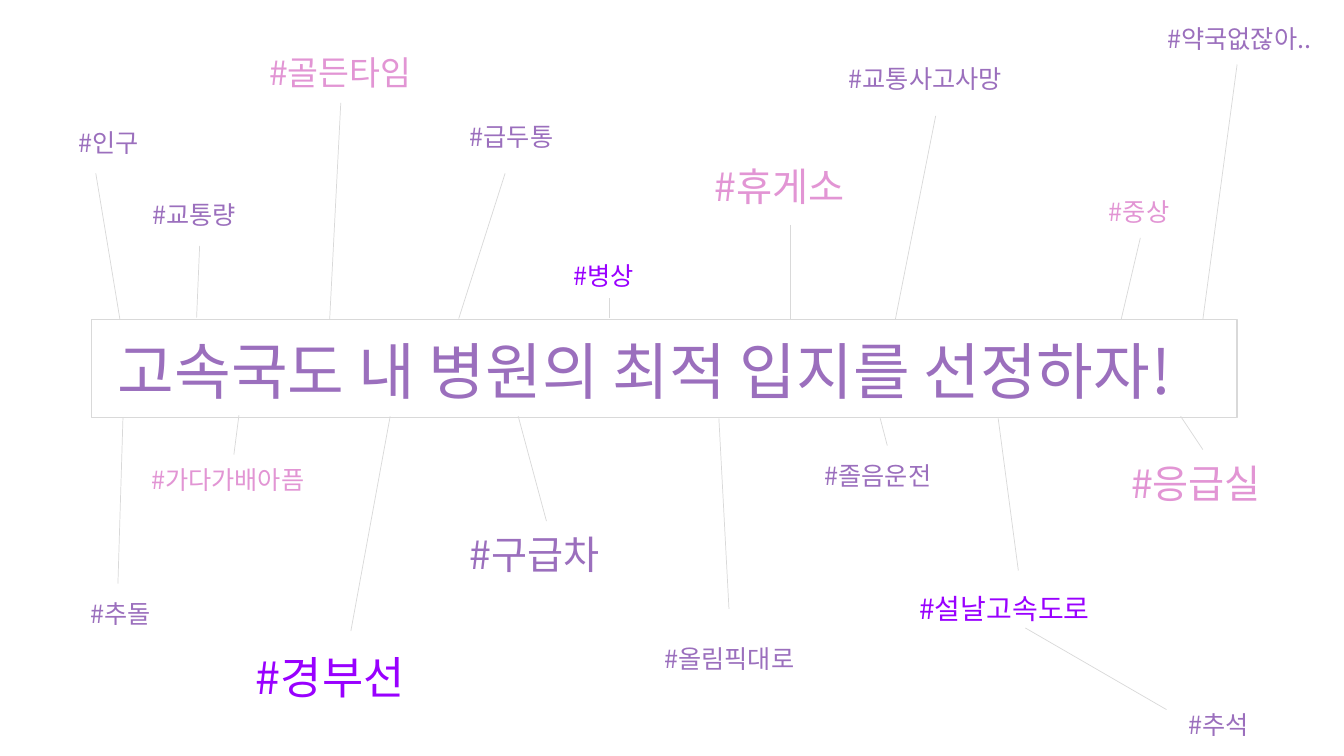
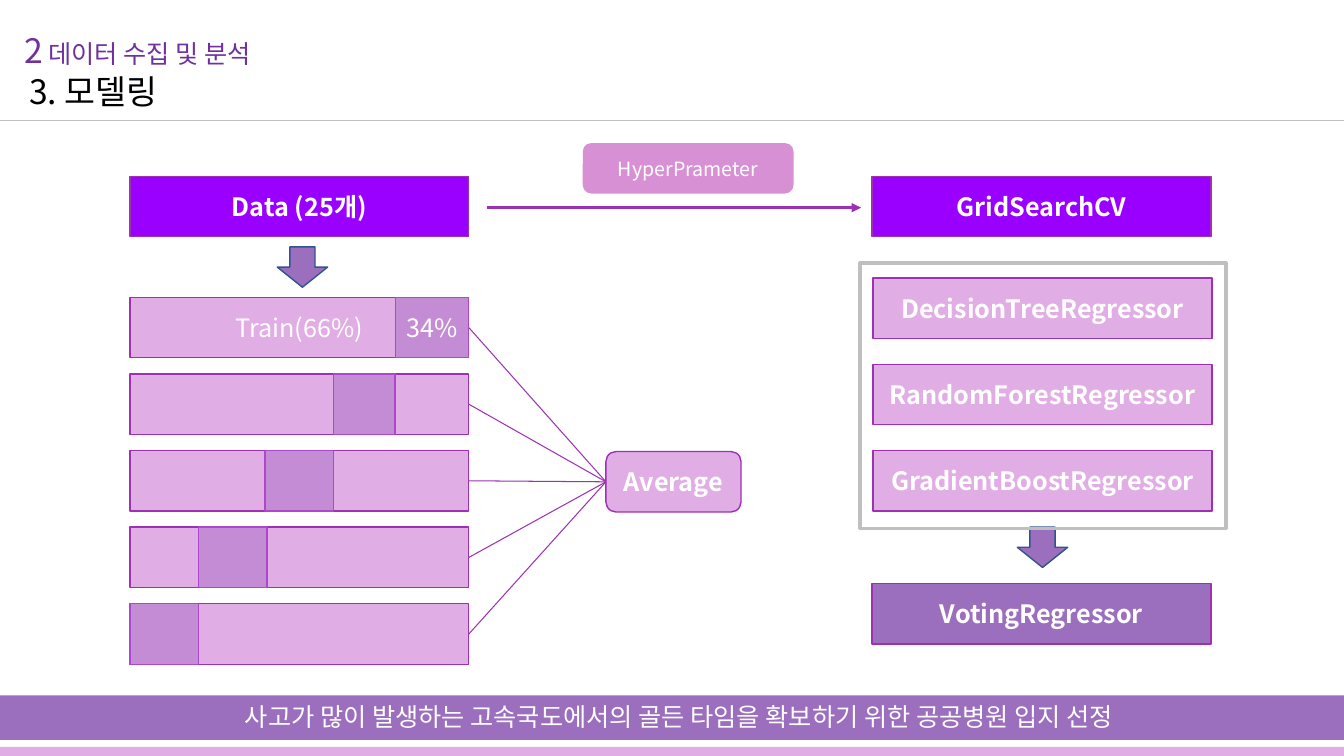
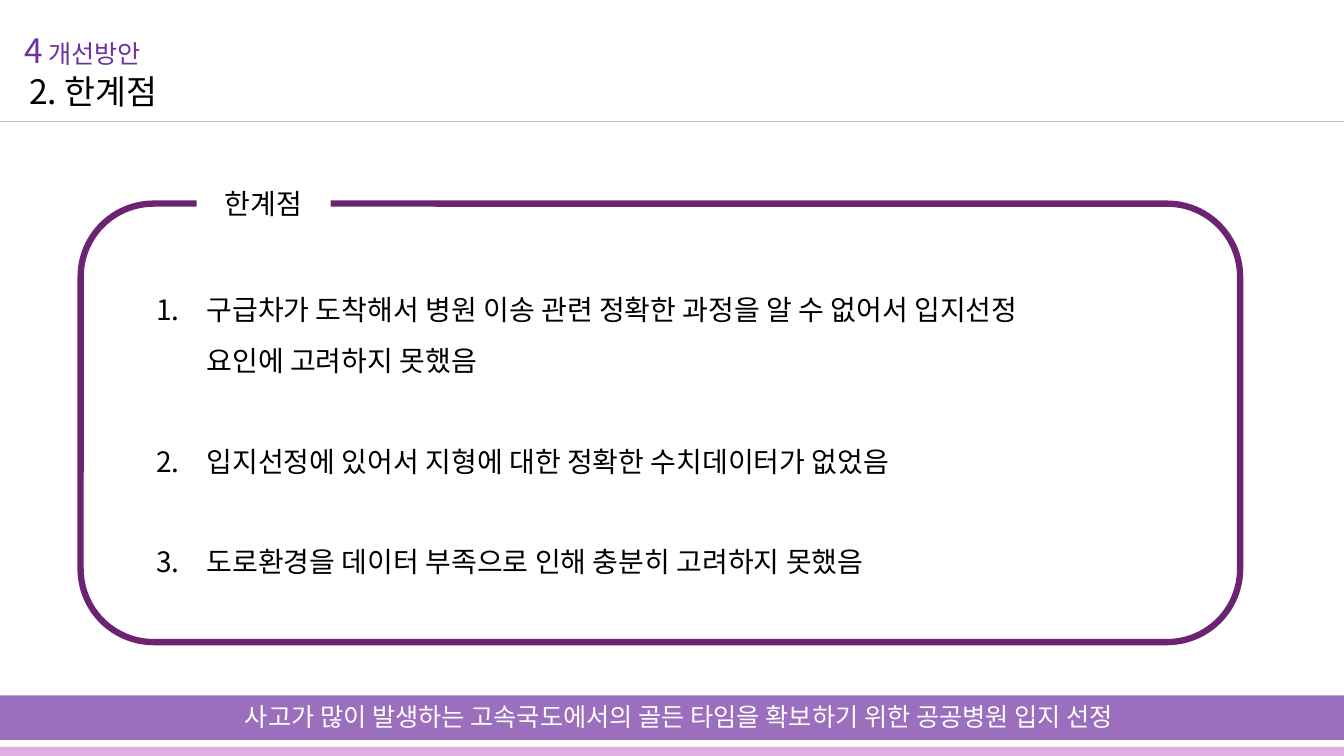
from dataclasses import dataclass
from typing import Any, Optional

from lxml.etree import SubElement
from pptx import Presentation
from pptx.dml.color import RGBColor
from pptx.enum.shapes import MSO_CONNECTOR, MSO_SHAPE
from pptx.enum.text import MSO_ANCHOR, MSO_AUTO_SIZE, PP_ALIGN
from pptx.oxml.ns import qn
from pptx.util import Inches, Pt

# Shared look
FONT = "Noto Sans CJK KR"
WIDE, HIGH = 13.33, 7.5
PURPLE, VIVID, PINK, LILAC = "9B6FBD", "9900FF", "E295D4", "E1ADE5"
MAUVE, EDGE, SPLIT, ROSE = "C38CD4", "9E31B3", "AD48CC", "D890D5"
WHITE, BLACK, PALE, GREY = "FFFFFF", "000000", "D9D9D9", "BFBFBF"
NAVY, PLUM, HEAD = "31538F", "6C2472", "7030A0"
RECT = MSO_SHAPE.RECTANGLE
MOTTO = "사고가 많이 발생하는 고속국도에서의 골든 타임을 확보하기 위한 공공병원 입지 선정"


@dataclass
class Run:
    text: str
    size: float
    tint: str
    bold: bool = False


@dataclass
class Box:
    left: float
    top: float
    width: float
    height: float
    fill: Optional[str] = None
    edge: Optional[str] = None
    weight: float = 1
    kind: Any = RECT
    label: Optional[Run] = None


@dataclass
class Tag:
    left: float
    top: float
    height: float
    run: Run


@dataclass
class Line:
    x1: float
    y1: float
    x2: float
    y2: float
    tint: str = PALE
    weight: float = 0.5


def paint(color: Any, tint: str) -> None:
    color.rgb = RGBColor.from_string(tint)


def assign(item: Any, values: dict[str, Any]) -> None:
    for key, value in values.items():
        setattr(item, key, value)


def write(para: Any, run: Run) -> None:
    part = para.add_run()
    part.text = run.text
    paint(part.font.color, run.tint)
    assign(part.font, {"size": Pt(run.size), "bold": run.bold, "name": FONT})
    SubElement(part.font._element, qn("a:ea"), typeface=FONT)


def draw_box(slide: Any, box: Box) -> Any:
    shape = slide.shapes.add_shape(
        box.kind, *map(Inches, (box.left, box.top, box.width, box.height)))
    shape.shadow.inherit = False
    if box.fill:
        shape.fill.solid()
        paint(shape.fill.fore_color, box.fill)
    else:
        shape.fill.background()
    if box.edge:
        paint(shape.line.color, box.edge)
        shape.line.width = Pt(box.weight)
    else:
        shape.line.fill.background()
    if box.label:
        frame = shape.text_frame
        assign(frame, {"word_wrap": True, "vertical_anchor": MSO_ANCHOR.MIDDLE})
        frame.paragraphs[0].alignment = PP_ALIGN.CENTER
        write(frame.paragraphs[0], box.label)
    return shape


def draw_text(slide: Any, left: float, top: float, width: float,
              height: float, *runs: Run) -> Any:
    frame = slide.shapes.add_textbox(
        *map(Inches, (left, top, width, height))).text_frame
    assign(frame, {"word_wrap": True, "auto_size": MSO_AUTO_SIZE.SHAPE_TO_FIT_TEXT})
    for run in runs:
        write(frame.paragraphs[0], run)
    return frame


def draw_line(slide: Any, line: Line) -> Any:
    link = slide.shapes.add_connector(
        MSO_CONNECTOR.STRAIGHT,
        *map(Inches, (line.x1, line.y1, line.x2, line.y2)))
    paint(link.line.color, line.tint)
    link.line.width = Pt(line.weight)
    SubElement(link._element.spPr, qn("a:effectLst"))
    return link


def add_page(deck: Any) -> Any:
    return deck.slides.add_slide(deck.slide_layouts[6])


def add_frame(slide: Any, number: str, part: str, title: str,
              weight: float) -> None:
    # Heading, rule and footer bands
    draw_line(slide, Line(0, 1.2, WIDE, 1.2, GREY, weight))
    draw_text(slide, 0.14, 0.25, 3.79, 0.5,
              Run(number, 24, HEAD), Run(" " + part, 18, HEAD))
    draw_text(slide, 0.19, 0.65, 3.79, 0.5, Run(title, 24, BLACK))
    draw_box(slide, Box(0, 6.9, WIDE, 0.44, PURPLE))
    draw_box(slide, Box(0, 7.41, WIDE, 0.09, LILAC))
    draw_text(slide, 2.33, 6.91, 9.68, 0.4, Run(MOTTO, 18, WHITE))


# Keyword cloud
TAGS = [
    Tag(0.8, 5.89, 0.4, Run("#추돌", 18, PURPLE)),
    Tag(1.41, 1.93, 0.4, Run("#교통량", 18, PURPLE)),
    Tag(2.57, 0.47, 0.5, Run("#골든타임", 24, PINK)),
    Tag(5.59, 2.53, 0.4, Run("#병상", 18, VIVID)),
    Tag(8.32, 0.58, 0.4, Run("#교통사고사망", 18, PURPLE)),
    Tag(10.9, 1.9, 0.4, Run("#중상", 18, PINK)),
    Tag(0.68, 1.21, 0.4, Run("#인구", 18, PURPLE)),
    Tag(4.56, 5.21, 0.57, Run("#구급차", 28, PURPLE)),
    Tag(9.02, 5.82, 0.44, Run("#설날고속도로", 20, VIVID)),
    Tag(11.12, 4.51, 0.57, Run("#응급실", 28, PINK)),
    Tag(6.49, 6.33, 0.4, Run("#올림픽대로", 18, PURPLE)),
    Tag(6.99, 1.56, 0.57, Run("#휴게소", 28, PINK)),
    Tag(2.44, 6.4, 0.64, Run("#경부선", 32, VIVID)),
    Tag(1.4, 4.56, 0.4, Run("#가다가배아픔", 18, PINK)),
    Tag(11.48, 0.18, 0.4, Run("#약국없잖아..", 18, PURPLE)),
    Tag(4.56, 1.15, 0.4, Run("#급두통", 18, PURPLE)),
    Tag(11.69, 6.99, 0.4, Run("#추석", 18, PURPLE)),
    Tag(8.08, 4.52, 0.4, Run("#졸음운전", 18, PURPLE)),
]
RAYS = [
    Line(7.84, 2.23, 7.84, 3.16), Line(9.28, 1.15, 8.88, 3.17),
    Line(11.31, 2.36, 11.12, 3.17), Line(12.27, 0.64, 11.93, 3.17),
    Line(3.38, 1.02, 3.27, 3.17), Line(5.01, 1.72, 4.55, 3.16),
    Line(6.04, 2.96, 6.04, 3.15), Line(1.98, 2.44, 1.95, 3.15),
    Line(0.95, 1.72, 1.19, 3.17), Line(1.22, 4.14, 1.17, 5.79),
    Line(2.37, 4.12, 2.32, 4.51), Line(3.87, 4.13, 3.48, 6.26),
    Line(5.14, 4.13, 5.42, 5.17), Line(7.13, 4.15, 7.23, 6.04),
    Line(8.73, 4.15, 8.8, 4.42), Line(9.9, 4.15, 10.1, 5.66),
    Line(11.71, 4.13, 11.93, 4.46), Line(10.17, 6.23, 11.57, 7.04),
]


def add_cloud(deck: Any) -> None:
    slide = add_page(deck)
    draw_text(slide, 1.07, 3.25, 11.2, 0.84,
              Run("고속국도 내 병원의 최적 입지를 선정하자!", 44, PURPLE))
    for tag in TAGS:
        width = min(3.29, WIDE - tag.left)
        draw_text(slide, tag.left, tag.top, width, tag.height, tag.run)
    draw_box(slide, Box(0.91, 3.17, 11.36, 0.97, edge=PALE))
    for ray in RAYS:
        draw_line(slide, ray)


# Model flow
BAR_W, BAR_H = 3.36, 0.6
DATA_X, MODEL_X = 1.29, 8.65
FOLD_Y, FOLD_STEP = 2.95, 0.76
TESTS = [(3.92, 0.73), (3.31, 0.61), (2.63, 0.68), (1.97, 0.68), (1.29, 0.68)]
MODELS = ["DecisionTreeRegressor", "RandomForestRegressor", "GradientBoostRegressor"]


def add_model(deck: Any) -> None:
    slide = add_page(deck)
    add_frame(slide, "2", "데이터 수집 및 분석", "3. 모델링", 0.75)

    # Named bars
    bars = [(DATA_X, 1.75, VIVID, "Data (25개)"),
            (MODEL_X, 1.75, VIVID, "GridSearchCV")]
    bars += [(MODEL_X + 0.01, 2.76 + 0.855 * i, LILAC, name)
             for i, name in enumerate(MODELS)]
    bars.append((MODEL_X, 5.79, PURPLE, "VotingRegressor"))
    for left, top, fill, name in bars:
        draw_box(slide, Box(left, top, BAR_W, BAR_H, fill, EDGE,
                            label=Run(name, 18, WHITE, True)))

    # Folds joined to their average
    mean = draw_box(slide, Box(6.01, 4.48, 1.34, BAR_H, LILAC, EDGE,
                               kind=MSO_SHAPE.FLOWCHART_ALTERNATE_PROCESS,
                               label=Run("Average", 18, WHITE, True)))
    for i, (left, width) in enumerate(TESTS):
        top = FOLD_Y + FOLD_STEP * i
        train = Run("Train(66%)", 18, WHITE) if i == 0 else None
        test = Run("34%", 18, WHITE) if i == 0 else None
        fold = draw_box(slide, Box(DATA_X, top, BAR_W, BAR_H, LILAC, EDGE,
                                   label=train))
        draw_box(slide, Box(left, top, width, BAR_H, MAUVE, SPLIT, label=test))
        link = draw_line(slide, Line(4.65, top + 0.3, 6.01, 4.78, EDGE, 0.75))
        link.begin_connect(fold, 3)
        link.end_connect(mean, 1)

    # Arrows and search step
    for left, top in ((2.75, 2.45), (10.09, 5.23)):
        draw_box(slide, Box(left, top, 0.5, 0.4, PURPLE, NAVY,
                            kind=MSO_SHAPE.DOWN_ARROW))
    draw_box(slide, Box(5.78, 1.42, 2.09, 0.5, ROSE,
                        kind=MSO_SHAPE.ROUNDED_RECTANGLE,
                        label=Run("HyperPrameter", 14, WHITE)))
    arrow = draw_line(slide, Line(4.83, 2.06, 8.54, 2.06, EDGE, 2.25))
    SubElement(arrow.line._get_or_add_ln(), qn("a:tailEnd"), type="triangle")
    draw_box(slide, Box(8.53, 2.61, 3.63, 2.63, edge=GREY, weight=2.25))


# Limits list
LIMITS = [
    ["구급차가 도착해서 병원 이송 관련 정확한 과정을 알 수 없어서 입지선정",
     "요인에 고려하지 못했음"],
    ["입지선정에 있어서 지형에 대한 정확한 수치데이터가 없었음"],
    ["도로환경을 데이터 부족으로 인해 충분히 고려하지 못했음"],
]


def add_limits(deck: Any) -> None:
    slide = add_page(deck)
    add_frame(slide, "4", "개선방안", "2. 한계점", 0.5)
    draw_box(slide, Box(0.8, 2.02, 11.5, 4.35, edge=PLUM, weight=4.5,
                        kind=MSO_SHAPE.ROUNDED_RECTANGLE))
    draw_box(slide, Box(1.95, 1.8, 1.33, 0.44, WHITE,
                        label=Run("한계점", 20, BLACK)))
    frame = draw_text(slide, 1.45, 2.69, 10.56, 3.09)
    for i, lines in enumerate(LIMITS):
        para = frame.add_paragraph() if i else frame.paragraphs[0]
        para.line_spacing = 1.5
        if i:
            para.space_before = Pt(36)
        props = para._p.get_or_add_pPr()
        props.set("marL", str(Inches(0.5)))
        props.set("indent", str(-Inches(0.5)))
        SubElement(props, qn("a:buFont"), typeface=FONT)
        SubElement(props, qn("a:buAutoNum"), type="arabicPeriod")
        for j, line in enumerate(lines):
            if j:
                para.add_line_break()
            write(para, Run(line, 20, BLACK))


def main() -> None:
    deck = Presentation()
    assign(deck, {"slide_width": Inches(WIDE), "slide_height": Inches(HIGH)})
    add_cloud(deck)
    add_model(deck)
    add_limits(deck)
    deck.save("out.pptx")


if __name__ == "__main__":
    main()
